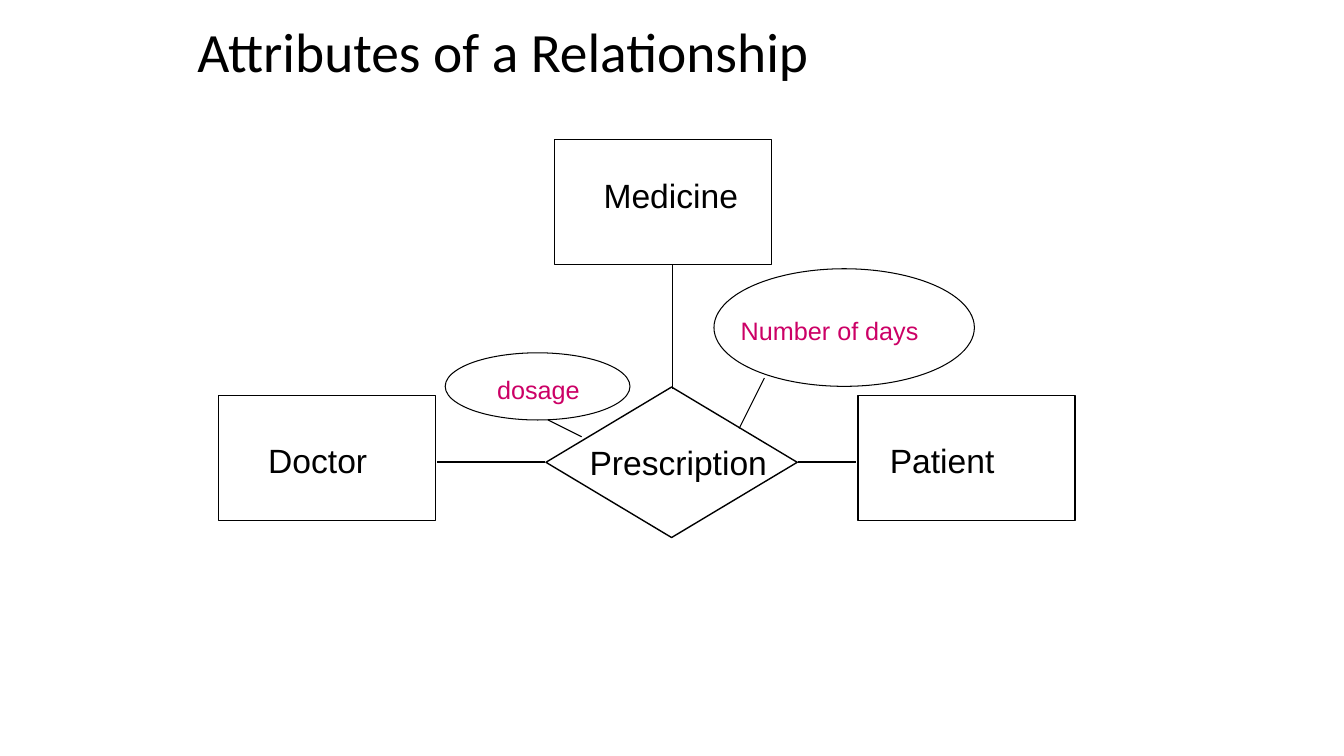
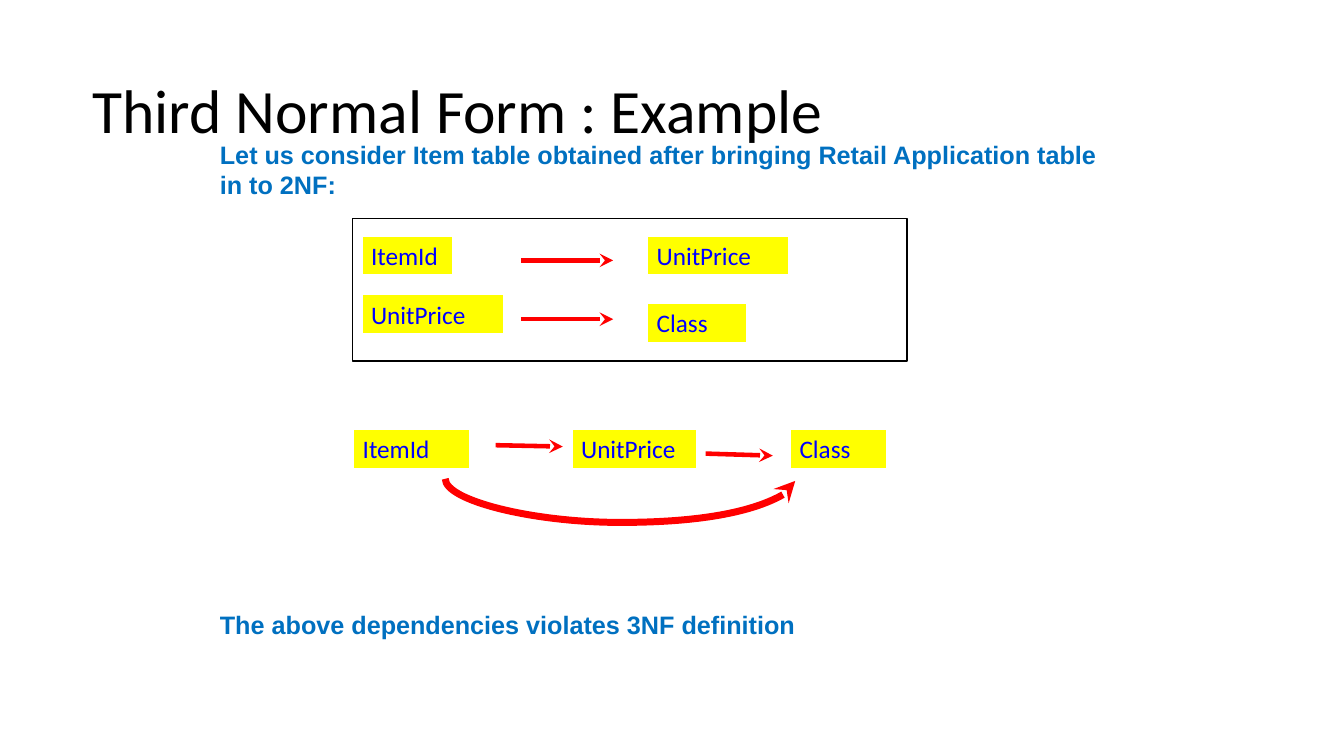
from lxml import etree
from pptx import Presentation
from pptx.dml.color import RGBColor
from pptx.enum.shapes import MSO_CONNECTOR, MSO_SHAPE
from pptx.enum.text import MSO_ANCHOR, MSO_AUTO_SIZE, PP_ALIGN
from pptx.oxml.ns import qn
from pptx.util import Pt

RECT, DIAMOND, OVAL = MSO_SHAPE.RECTANGLE, MSO_SHAPE.DIAMOND, MSO_SHAPE.OVAL
STRAIGHT, CURVE = MSO_CONNECTOR.STRAIGHT, MSO_CONNECTOR.CURVE
TOP, MIDDLE, LEFT = MSO_ANCHOR.TOP, MSO_ANCHOR.MIDDLE, PP_ALIGN.LEFT
NO_FIT, FIT_SHAPE = MSO_AUTO_SIZE.NONE, MSO_AUTO_SIZE.SHAPE_TO_FIT_TEXT
BLACK, WHITE, RED, YELLOW = "000000", "FFFFFF", "FF0000", "FFFF00"
PINK, DEEP_BLUE, NOTE_BLUE = "CC0066", "0000FF", "0070C0"
rgb = RGBColor.from_string


def add_box(shapes, at, kind=None, fill=None, line=None, width=1, text=None,
            font="Arial", size=18, color=BLACK, bold=False, wrap=True):
    """Add a preset shape, or a text box if kind is None, with optional text."""
    place = [Pt(value) for value in at]
    if kind is None:
        box = shapes.add_textbox(*place)
    else:
        box = shapes.add_shape(kind, *place)
        box.shadow.inherit = False
        if fill:
            box.fill.solid()
            box.fill.fore_color.rgb = rgb(fill)
        else:
            box.fill.background()
        box.line.color.rgb = rgb(line)
        box.line.width = Pt(width)
    if text:
        frame = box.text_frame
        frame.word_wrap = wrap
        frame.auto_size = FIT_SHAPE
        frame.vertical_anchor = TOP
        paragraph = frame.paragraphs[0]
        paragraph.alignment = LEFT
        run = paragraph.add_run()
        run.text = text
        run.font.name, run.font.size, run.font.bold = font, Pt(size), bold
        run.font.color.rgb = rgb(color)


def add_line(shapes, ends, color=BLACK, width=1, arrow=False, kind=STRAIGHT):
    """Add a connector from (x1, y1) to (x2, y2) and return it."""
    connector = shapes.add_connector(kind, *[Pt(value) for value in ends])
    connector.line.color.rgb = rgb(color)
    connector.line.width = Pt(width)
    if arrow:
        etree.SubElement(connector.get_or_add_ln(), qn("a:tailEnd"), type="stealth")
    etree.SubElement(connector._element.spPr, qn("a:effectLst"))
    return connector


deck = Presentation()
deck.slide_width, deck.slide_height = Pt(960), Pt(540)
TITLE_ONLY = deck.slide_layouts[5]

# Slides and their titles
canvases = []
for heading, size, at in [
    ("Attributes of a Relationship", 39.6, (141, 18.5, 675.5, 40.5)),
    ("Third Normal Form : Example", 44, (66, 29, 828, 104.5)),
]:
    slide = deck.slides.add_slide(TITLE_ONLY)
    title = slide.shapes.title
    title.left, title.top, title.width, title.height = [Pt(value) for value in at]
    frame = title.text_frame
    frame.word_wrap, frame.auto_size, frame.vertical_anchor = True, NO_FIT, MIDDLE
    frame.margin_left = 0
    paragraph = frame.paragraphs[0]
    paragraph.alignment, paragraph.line_spacing = LEFT, 0.9
    run = paragraph.add_run()
    run.text = heading
    run.font.name, run.font.size = "Calibri", Pt(size)
    run.font.color.rgb = rgb(BLACK)
    canvases.append(slide.shapes)
relationship, normal_form = canvases

# Slide 1: entities around the relationship
for left, top in [(156, 282.5), (613, 282.5), (396, 99.5)]:
    add_box(relationship, (left, top, 155, 89.5), RECT, line=BLACK)
add_box(relationship, (390, 276.5, 179.5, 107.5), DIAMOND, line=BLACK)
for link in [(480.5, 189, 480.5, 278), (312.5, 330, 389.5, 330), (570, 330, 611.5, 330)]:
    add_line(relationship, link)
for name, left, top, width in [
    ("Doctor", 184.5, 310.5, 85.5),
    ("Medicine", 424, 121.5, 111.5),
    ("Patient", 628.5, 310.5, 90),
    ("Prescription", 414, 312, 142.5),
]:
    add_box(relationship, (left, top, width, 36), text=name, size=24, wrap=False)

# Slide 1: attributes of the relationship
for attribute, oval, label, link in [
    ("dosage", (318, 252, 132, 48), (348, 264, 84, 29), (391.5, 300, 415.5, 312)),
    ("Number of days", (510, 192, 186, 84), (522, 222, 156, 29), (528, 306, 546, 270)),
]:
    add_box(relationship, oval, OVAL, line=BLACK, width=0.75)
    add_box(relationship, label, text=attribute, color=PINK)
    add_line(relationship, link, width=0.75)

# Slide 2: the listed dependencies, then the chain they form
listed = normal_form.add_group_shape().shapes
chain = normal_form.add_group_shape().shapes
add_box(listed, (252, 156, 396, 102), RECT, fill=WHITE, line=BLACK)
for group, column, left, top, width in [
    (listed, "ItemId", 258, 168, 66),
    (listed, "UnitPrice", 462, 168, 102),
    (listed, "UnitPrice", 258, 210, 102),
    (listed, "Class", 462, 216, 72),
    (chain, "ItemId", 252, 306, 84),
    (chain, "UnitPrice", 408, 306, 90),
    (chain, "Class", 564, 306, 70),
]:
    add_box(group, (left, top, width, 29), RECT, fill=YELLOW, line=WHITE, width=2,
            text=column, font="Calibri", color=DEEP_BLUE)
for group, ends in [
    (listed, (372, 186, 438, 186)),
    (listed, (372, 228, 438, 228)),
    (chain, (354, 318, 402, 319)),
    (chain, (504, 324, 552, 325.5)),
]:
    add_line(group, ends, RED, 3.25, arrow=True)

# The transitive dependency is an upright curve turned by 270 degrees
transitive = add_line(normal_form, (443.75, 217.75, 442.25, 467.75), RED, 5,
                      arrow=True, kind=CURVE)
properties = transitive._element.spPr
properties.find(qn("a:xfrm")).set("rot", str(270 * 60000))
adjustments = properties.find(qn("a:prstGeom")).find(qn("a:avLst"))
etree.SubElement(adjustments, qn("a:gd"), name="adj1", fmla="val 2075000")

for remark, top, height in [
    ("Let us consider Item table obtained after bringing Retail Application table "
     "in to 2NF:", 96, 51),
    ("The above dependencies violates 3NF definition", 432, 29),
]:
    add_box(normal_form, (150, top, 642, height), text=remark, color=NOTE_BLUE, bold=True)

deck.save("out.pptx")
